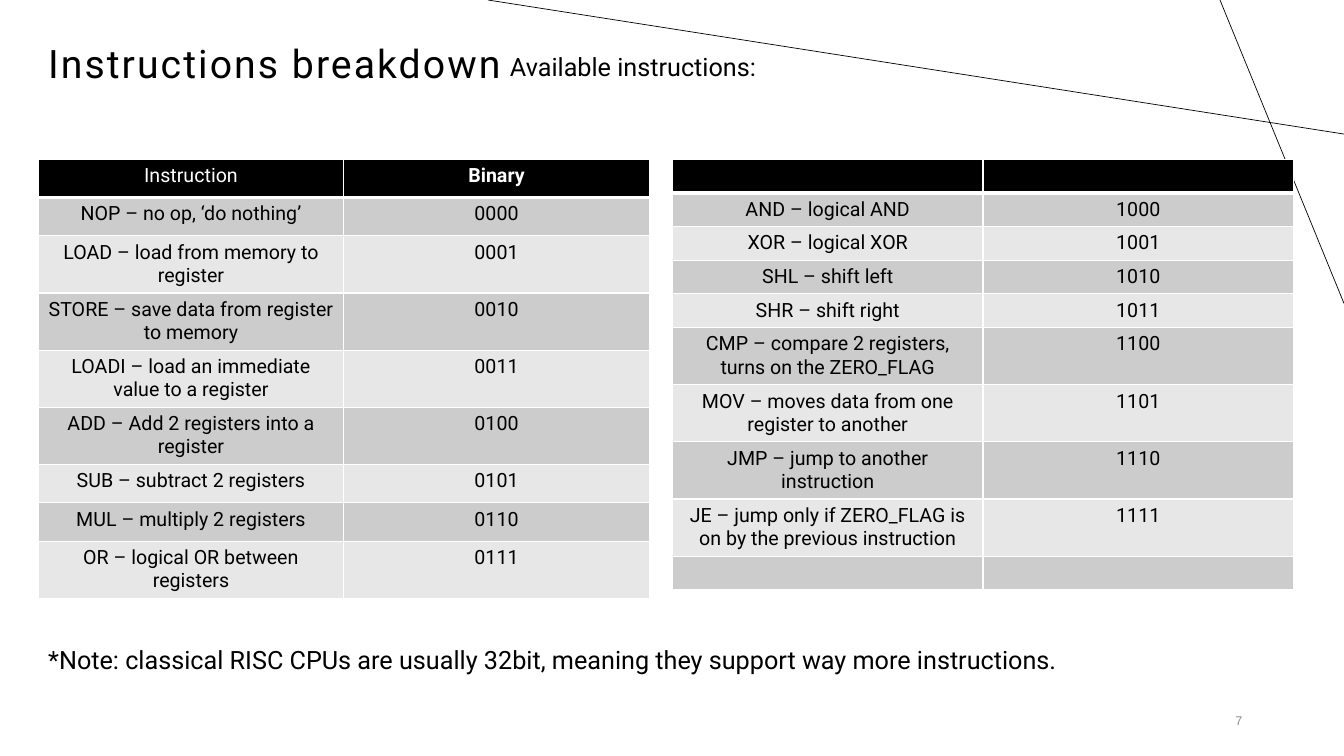
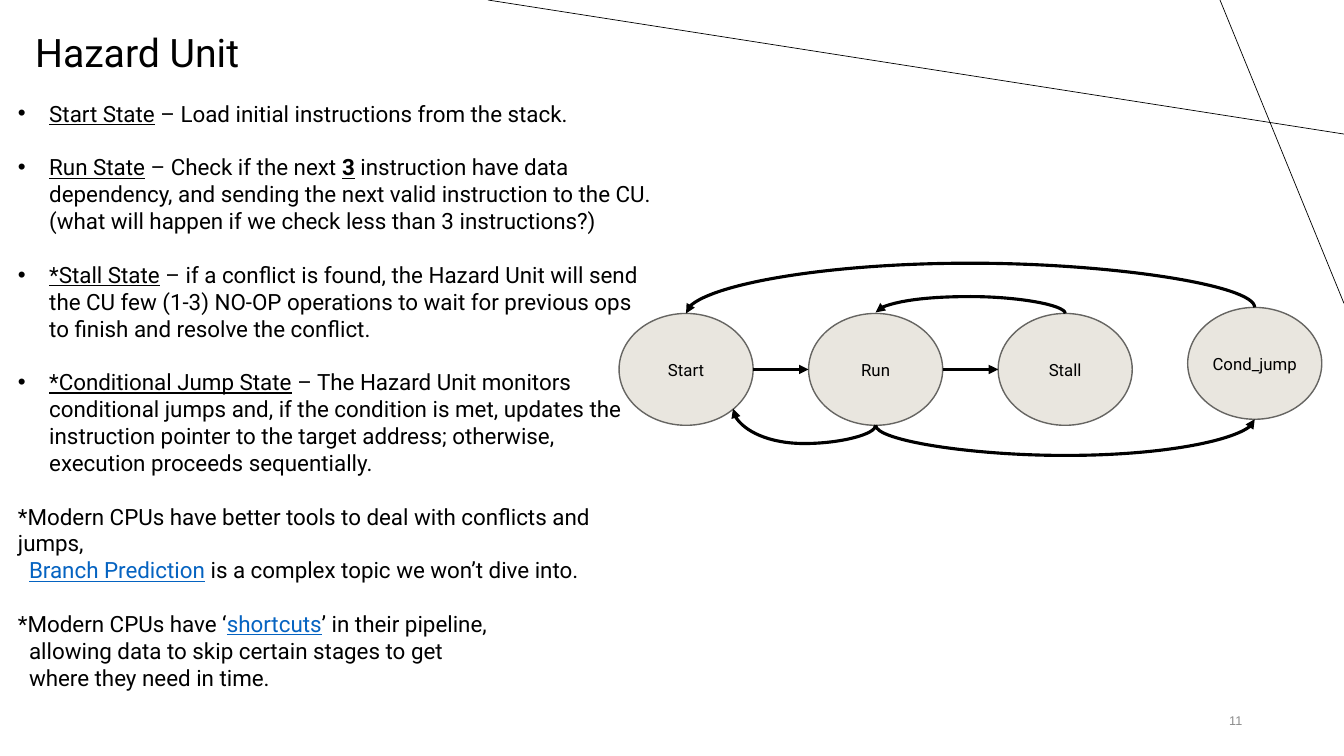
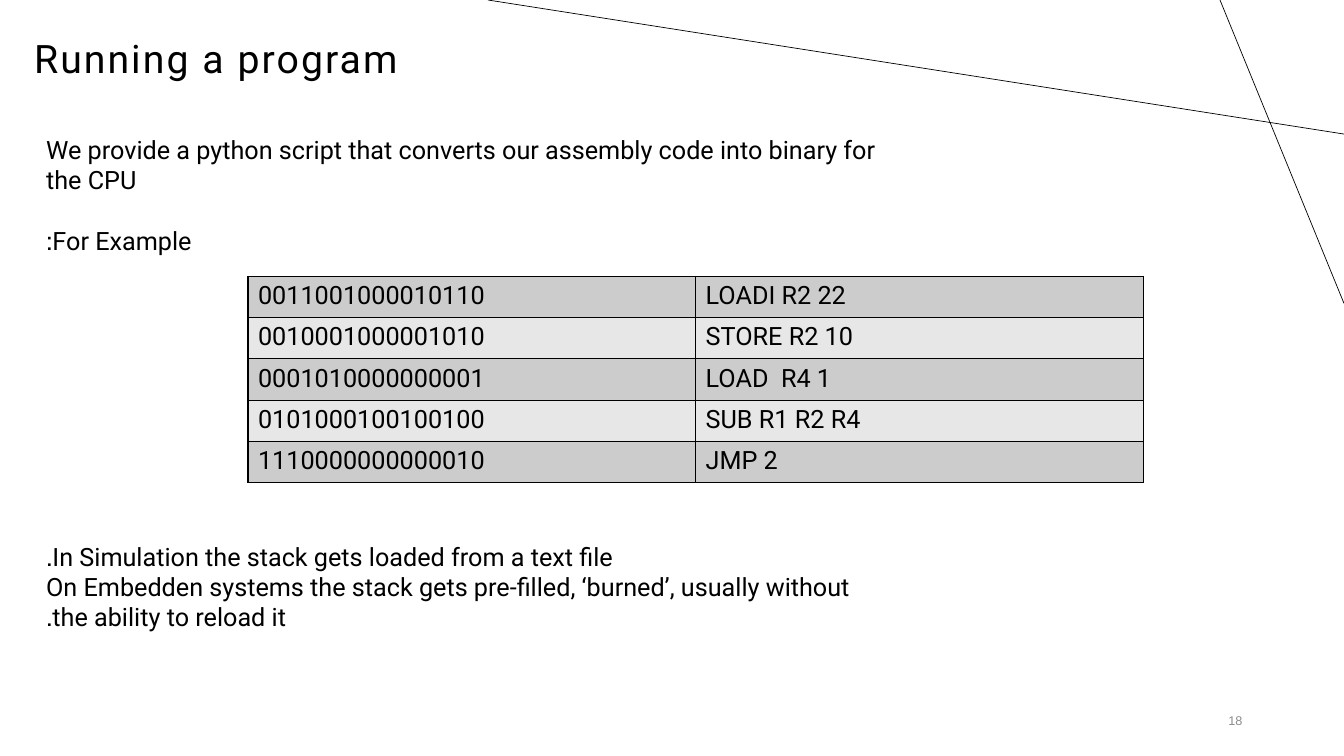
import pptx
import pptx.util
import pptx.dml.color
import pptx.enum.shapes
import pptx.enum.text
import pptx.oxml.ns
import lxml.etree

Inches, Pt = pptx.util.Inches, pptx.util.Pt
qn, SubElement = pptx.oxml.ns.qn, lxml.etree.SubElement
RGB = pptx.dml.color.RGBColor.from_string
ALIGN = pptx.enum.text.PP_ALIGN
ANCHOR = pptx.enum.text.MSO_ANCHOR
LINK = pptx.enum.shapes.MSO_CONNECTOR

THEME = {
    "black": "000000", "white": "FFFFFF", "gray": "8C8C8C", "link": "0563C1",
    "node": "E9E6DF", "node_line": "666562", "bands": ("CCCCCC", "E7E7E7"),
    "title": {"size": Pt(28)},
    "text": {"size": Pt(18)},
    "body": {"size": Pt(16)},
    "cell": {"size": Pt(14)},
    "label": {"size": Pt(12)},
    "number": {"size": Pt(9), "name": "Arial", "color": "8C8C8C"},
}
BASE = {"name": "Roboto", "color": THEME["black"]}


def write(tf, paras, fmt):
    for i, para in enumerate(paras):
        p = tf.paragraphs[0] if i == 0 else tf.add_paragraph()
        pPr = p._p.get_or_add_pPr()
        for key, value in para.get("xml", {}).items():
            pPr.set(key, value)
        if para.get("bullet"):
            SubElement(pPr, qn("a:buFont"), typeface="Arial")
            SubElement(pPr, qn("a:buChar"), char="•")
        for key, value in para.get("layout", {}).items():
            setattr(p, key, value)
        for text, extra in para["runs"]:
            r = p.add_run()
            r.text = text
            for key, value in {**BASE, **fmt, **extra}.items():
                if key == "color":
                    r.font.color.rgb = RGB(value)
                elif key == "spc":
                    r._r.get_or_add_rPr().set("spc", value)
                else:
                    setattr(r.font, key, value)
        if not para["runs"]:
            p._p.get_or_add_endParaRPr().set("sz", str(int(fmt["size"].pt * 100)))


def add_line(s, kind, x1, y1, x2, y2, width):
    c = s.shapes.add_connector(kind, Inches(x1), Inches(y1), Inches(x2), Inches(y2))
    c.line.color.rgb = RGB(THEME["black"])
    c.line.width = Pt(width)
    SubElement(c._element.spPr, qn("a:effectLst"))
    return c


prs = pptx.Presentation()
prs.slide_width, prs.slide_height = Inches(13.33), Inches(7.5)

slides = []
for number in ("7", "11", "18"):
    s = prs.slides.add_slide(prs.slide_layouts[6])
    add_line(s, LINK.STRAIGHT, 13.33, 1.33, 4.84, 0, 0.5)
    add_line(s, LINK.STRAIGHT, 12.1, 0, 13.33, 3.01, 0.5)
    sp = s.shapes.add_textbox(Inches(11.34), Inches(6.95), Inches(1.08), Inches(0.4))
    sp.text_frame.vertical_anchor = ANCHOR.MIDDLE
    write(sp.text_frame, [{"runs": [(number, {})], "layout": {"alignment": ALIGN.RIGHT}}],
          THEME["number"])
    slides.append(s)
instructions, hazard, running = slides

spaced = {"spc": "150"}
under = {"underline": True}
blue = {"underline": True, "color": THEME["link"]}
tight = {"line_spacing": 0.9}
rtl = {"rtl": "1", "algn": "l"}
hanging = {"marL": str(Inches(0.31)), "indent": str(-Inches(0.31))}
inset = {"marL": str(Inches(0.11)), "indent": "0"}
gap = {"space_before": Pt(19.2)}

states = [
    [("Start State", under), (" – Load initial instructions from the stack.", {})],
    [("Run State", under), (" – Check if the next ", {}), ("3", {"bold": True, "underline": True}),
     (" instruction have data dependency, and sending the next valid instruction to the CU. "
      "(what will happen if we check less than 3 instructions?)", {})],
    [("*Stall State", under),
     (" – if a conflict is found, the Hazard Unit will send the CU few (1-3) NO-OP operations "
      "to wait for previous ops to finish and resolve the conflict.", {})],
    [("*Conditional Jump State", under),
     (" – The Hazard Unit monitors conditional jumps and, if the condition is met, updates the "
      "instruction pointer to the target address; otherwise, execution proceeds sequentially.", {})],
]
hazard_body = [{"runs": runs, "bullet": True, "xml": hanging, "layout": gap if i else {}}
               for i, runs in enumerate(states)]
hazard_body += [
    {"runs": [("*Modern CPUs have better tools to deal with conflicts and jumps,", {})], "layout": gap},
    {"runs": [("Branch Prediction", blue), (" is a complex topic we won’t dive into.", {})],
     "xml": inset},
    {"runs": [("*Modern CPUs have ‘", {}), ("shortcuts", blue), ("’ in their pipeline,", {})],
     "layout": gap},
    {"runs": [("allowing data to skip certain stages to get", {})], "xml": inset},
    {"runs": [("where they need in time.", {})], "xml": inset},
]

boxes = [
    (instructions, (0.38, 0.32, 6.43, 0.59), "title", ANCHOR.BOTTOM,
     [{"runs": [("Instructions breakdown", spaced)], "layout": tight}]),
    (instructions, (4.96, 0.46, 8, 0.4), "text", ANCHOR.TOP,
     [{"runs": [("Available instructions:", {})]}]),
    (instructions, (0.38, 6.34, 11.23, 0.4), "text", ANCHOR.TOP,
     [{"runs": [("*Note: classical RISC CPUs are usually 32bit, meaning they support way more "
                 "instructions.", {})]}]),
    (hazard, (0.25, 0.23, 6.87, 0.57), "title", ANCHOR.TOP, [{"runs": [("Hazard Unit", {})]}]),
    (hazard, (0.08, 0.94, 6.51, 6.02), "body", ANCHOR.TOP, hazard_body),
    (running, (0.24, 0.27, 6.43, 0.59), "title", ANCHOR.BOTTOM,
     [{"runs": [("Running a program", spaced)], "layout": tight}]),
    (running, (0.36, 1.28, 8.57, 1.31), "text", ANCHOR.TOP,
     [{"runs": [("We provide a python script that converts our assembly code into binary for "
                 "the CPU", {})], "xml": rtl},
      {"runs": [("For Example:", {})], "xml": rtl, "layout": {"space_before": Pt(21.7)}}]),
    (running, (0.36, 5.32, 8.57, 1.01), "text", ANCHOR.TOP,
     [{"runs": [("In Simulation the stack gets loaded from a text file.", {})], "xml": rtl},
      {"runs": [("On Embedden systems the stack gets pre-filled, ‘burned’, usually without the "
                 "ability to reload it.", {})], "xml": rtl}]),
]
for s, at, style, anchor, paras in boxes:
    sp = s.shapes.add_textbox(*map(Inches, at))
    tf = sp.text_frame
    tf.word_wrap = True
    tf.vertical_anchor = anchor
    write(tf, paras, THEME[style])

first_half = [
    ("Instruction", "Binary"),
    ("NOP – no op, ‘do nothing’", "0000"),
    ("LOAD – load from memory to register", "0001"),
    ("STORE – save data from register to memory", "0010"),
    ("LOADI – load an immediate value to a register", "0011"),
    ("ADD – Add 2 registers into a register", "0100"),
    ("SUB – subtract 2 registers", "0101"),
    ("MUL – multiply 2 registers", "0110"),
    ("OR – logical OR between registers", "0111"),
]
second_half = [
    ("", ""),
    ("AND – logical AND", "1000"),
    ("XOR – logical XOR", "1001"),
    ("SHL – shift left", "1010"),
    ("SHR – shift right", "1011"),
    ("CMP – compare 2 registers, turns on the ZERO_FLAG", "1100"),
    ("MOV – moves data from one register to another", "1101"),
    ("JMP – jump to another instruction", "1110"),
    ("JE – jump only if ZERO_FLAG is on by the previous instruction", "1111"),
    ("", ""),
]
program = [
    ("0011001000010110", "LOADI R2 22"),
    ("0010001000001010", "STORE R2 10"),
    ("0001010000000001", "LOAD  R4 1"),
    ("0101000100100100", "SUB R1 R2 R4"),
    ("1110000000000010", "JMP 2"),
]
tables = [
    (instructions, first_half, 0.38, 1.58, 3.03, 0.38, "cell", True, "white", ALIGN.CENTER),
    (instructions, second_half, 6.67, 1.58, 3.08, 0.24, "cell", True, "white", ALIGN.CENTER),
    (running, program, 2.46, 2.74, 4.44, 0.41, "text", False, "black", ALIGN.LEFT),
]
for s, rows, x, y, col_w, row_h, style, has_header, border, align in tables:
    table = s.shapes.add_table(len(rows), 2, Inches(x), Inches(y), Inches(2 * col_w),
                               Inches(row_h * len(rows))).table
    for i, row in enumerate(rows):
        header = has_header and i == 0
        band = THEME["bands"][(i - has_header) % 2]
        for j, text in enumerate(row):
            cell = table.cell(i, j)
            extra = {"color": THEME["white"], "bold": j == 1} if header else {"bold": False}
            write(cell.text_frame, [{"runs": [(text, extra)] if text else [],
                                     "layout": {"alignment": align}}], THEME[style])
            tcPr = cell._tc.get_or_add_tcPr()
            for side in ("L", "R", "T", "B"):
                thick = header and side == "B" or has_header and i == 1 and side == "T"
                ln = SubElement(tcPr, qn("a:ln" + side), w=str(Pt(3 if thick else 1)))
                fill = SubElement(ln, qn("a:solidFill"))
                SubElement(fill, qn("a:srgbClr"), val=THEME[border])
            cell.fill.solid()
            cell.fill.fore_color.rgb = RGB(THEME["black"] if header else band)

node_w, node_h = 1.33, 1.11
nodes = []
for i, (label, y) in enumerate([("Start", 3.11), ("Run", 3.11), ("Stall", 3.11),
                                ("Cond_jump", 3.05)]):
    x = 6.14 + 1.88 * i
    sp = hazard.shapes.add_shape(pptx.enum.shapes.MSO_SHAPE.OVAL, Inches(x), Inches(y),
                                 Inches(node_w), Inches(node_h))
    sp.shadow.inherit = False
    sp.fill.solid()
    sp.fill.fore_color.rgb = RGB(THEME["node"])
    sp.line.color.rgb = RGB(THEME["node_line"])
    sp.line.width = Pt(1)
    tf = sp.text_frame
    for key, value in {"margin_left": 0, "margin_right": 0, "word_wrap": False,
                       "vertical_anchor": ANCHOR.MIDDLE}.items():
        setattr(tf, key, value)
    write(tf, [{"runs": [(label, {})], "layout": {"alignment": ALIGN.CENTER}}], THEME["label"])
    nodes.append((sp, x, y))

START, RUN, STALL, JUMP = range(4)
TOP, LEFT, BOTTOM, LOWER_RIGHT, RIGHT = 0, 2, 4, 5, 6
sites = {TOP: (0.5, 0), LEFT: (0, 0.5), BOTTOM: (0.5, 1), LOWER_RIGHT: (0.85, 0.85),
         RIGHT: (1, 0.5)}
arrows = [
    (START, RIGHT, RUN, LEFT, None),
    (RUN, BOTTOM, START, LOWER_RIGHT, 4.4),
    (RUN, RIGHT, STALL, LEFT, None),
    (STALL, TOP, RUN, TOP, 2.94),
    (JUMP, TOP, START, TOP, 2.61),
    (RUN, BOTTOM, JUMP, BOTTOM, 4.52),
]
for a, a_site, b, b_site, bend in arrows:
    (sp1, x1, y1), (sp2, x2, y2) = nodes[a], nodes[b]
    x1, y1 = x1 + node_w * sites[a_site][0], y1 + node_h * sites[a_site][1]
    x2, y2 = x2 + node_w * sites[b_site][0], y2 + node_h * sites[b_site][1]
    if bend is None:
        c = add_line(hazard, LINK.STRAIGHT, x1, y1, x2, y2, 2.25)
    else:
        dx, dy = x2 - x1, (y2 - y1) or -0.01
        w, h = abs(dy), abs(dx)
        left, top = (x1 + x2 - w) / 2, y1 + (dy - h) / 2
        c = add_line(hazard, LINK.CURVE, left, top, left + w, top + h, 2.25)
        up = bend < y1
        xfrm = c._element.spPr.find(qn("a:xfrm"))
        xfrm.set("rot", str((270 if up else 90) * 60000))
        xfrm.set("flipH", str(int((dy > 0) == up)))
        xfrm.set("flipV", str(int((dx < 0) == up)))
        guides = c._element.spPr.find(qn("a:prstGeom")).find(qn("a:avLst"))
        SubElement(guides, qn("a:gd"), name="adj1", fmla=f"val {round((bend - y1) / dy * 100000)}")
    SubElement(c._element.spPr.find(qn("a:ln")), qn("a:tailEnd"), type="triangle")
    ends = c._element.nvCxnSpPr.cNvCxnSpPr
    for tag, sp, site in (("a:stCxn", sp1, a_site), ("a:endCxn", sp2, b_site)):
        SubElement(ends, qn(tag), id=str(sp.shape_id), idx=str(site))

prs.save("out.pptx")
